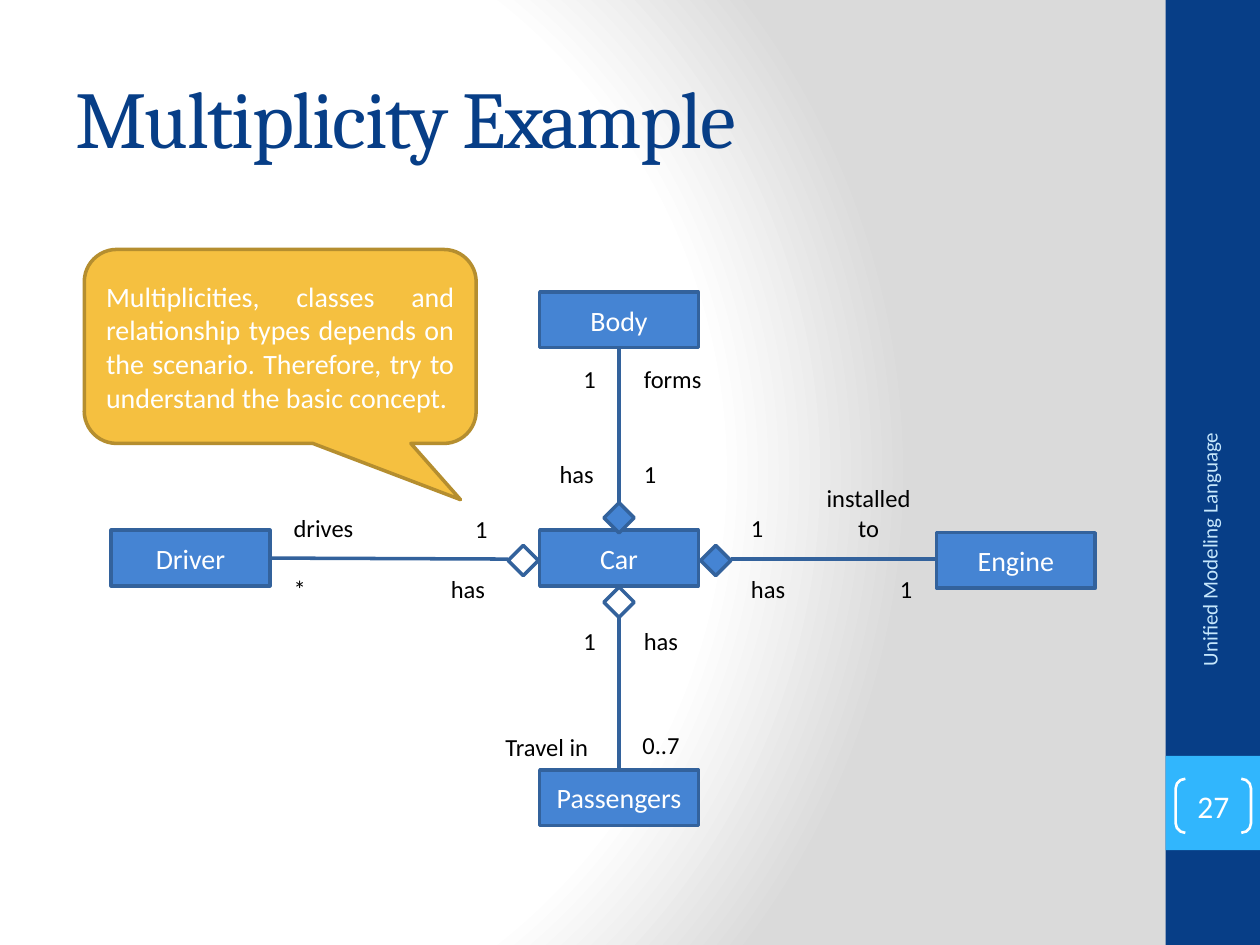
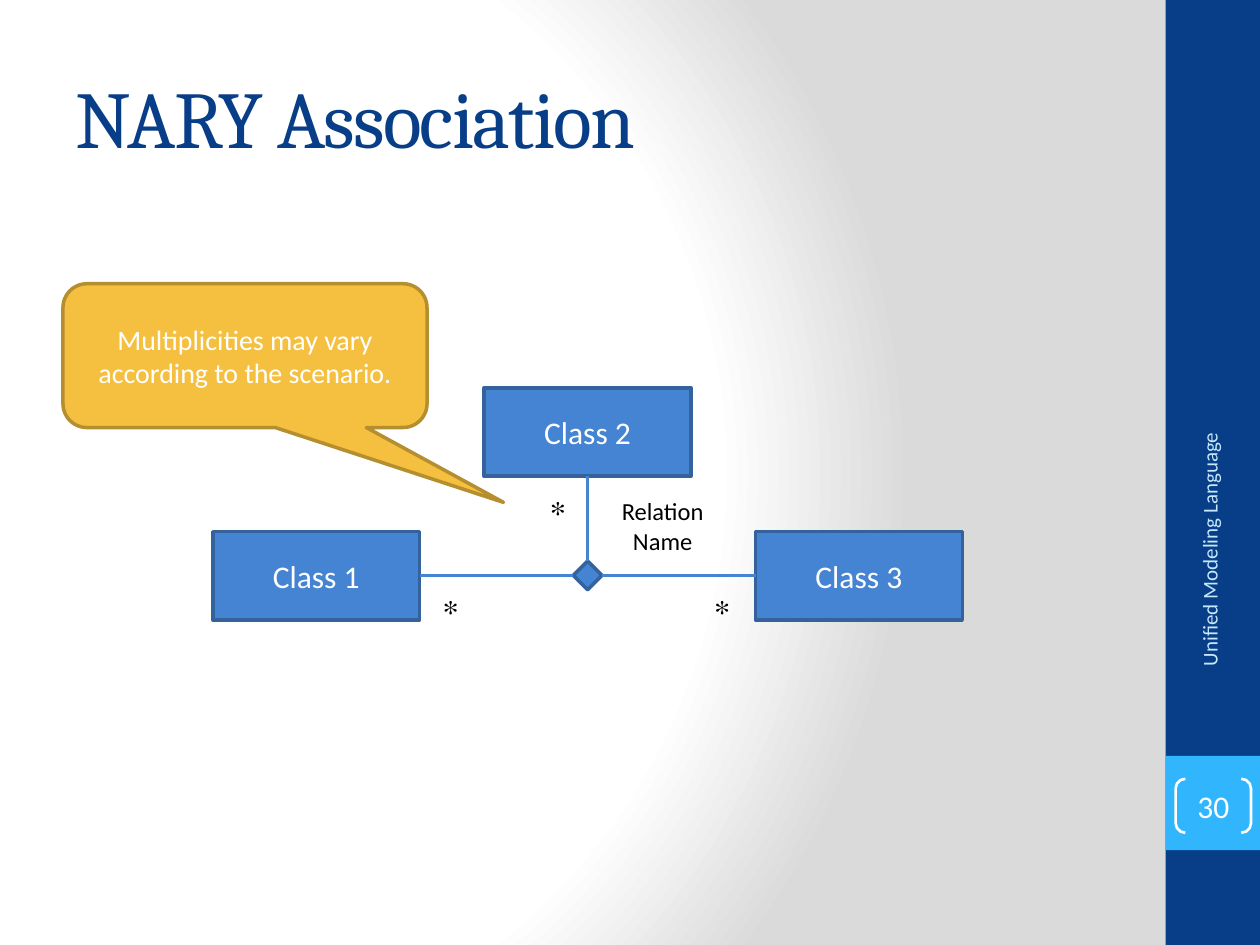
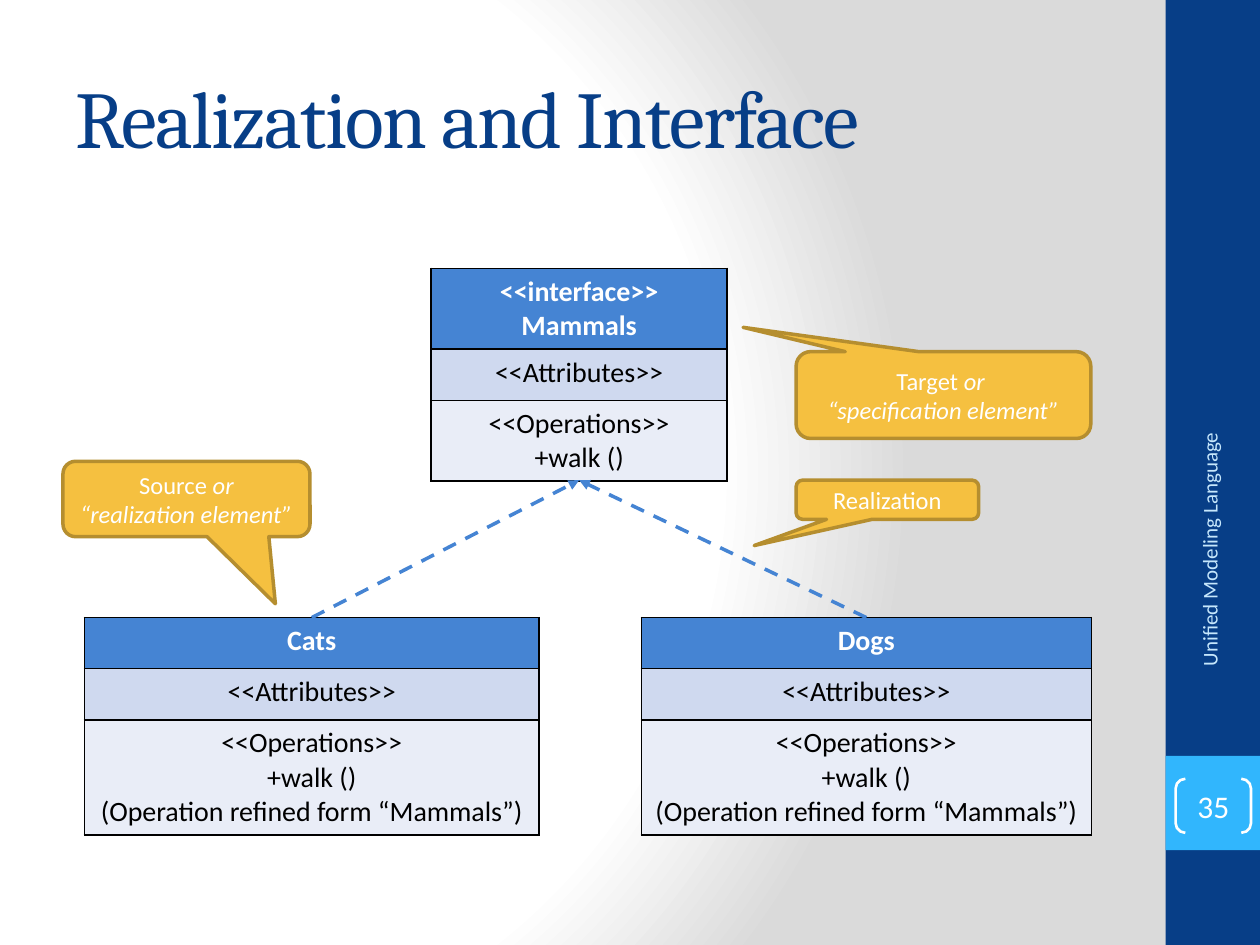
"""Build three UML lecture slides with class diagrams."""
from dataclasses import dataclass

from lxml import etree
from pptx import Presentation
from pptx.dml.color import RGBColor
from pptx.enum.dml import MSO_LINE
from pptx.enum.shapes import MSO_CONNECTOR, MSO_SHAPE
from pptx.enum.text import MSO_ANCHOR, PP_ALIGN
from pptx.oxml import parse_xml
from pptx.oxml.ns import nsdecls, qn
from pptx.util import Cm, Pt

RECT, DIAMOND = MSO_SHAPE.RECTANGLE, MSO_SHAPE.DIAMOND
BRACKETS, CALLOUT = MSO_SHAPE.DOUBLE_BRACKET, MSO_SHAPE.ROUNDED_RECTANGULAR_CALLOUT
STRAIGHT, DASH = MSO_CONNECTOR.STRAIGHT, MSO_LINE.DASH
LEFT, CENTER, RIGHT, JUSTIFY = PP_ALIGN.LEFT, PP_ALIGN.CENTER, PP_ALIGN.RIGHT, PP_ALIGN.JUSTIFY
TOP, MIDDLE = MSO_ANCHOR.TOP, MSO_ANCHOR.MIDDLE


@dataclass(frozen=True)
class Theme:
    """Colours, fonts, type sizes and line widths of the deck."""

    navy: str = "073E87"
    sky: str = "31B6FD"
    pale: str = "C6E7FC"
    blue: str = "4584D3"
    edge: str = "33629C"
    amber: str = "F5C040"
    amber_edge: str = "B58E2F"
    attributes: str = "CFD9EF"
    operations: str = "E9EDF7"
    white: str = "FFFFFF"
    grey: str = "DADADA"
    black: str = "000000"
    body: str = "Calibri"
    heading: str = "Cambria"
    symbol: str = "TeX Gyre Schola"
    title: int = 46
    large: int = 18
    normal: int = 16
    small: int = 14
    footer: int = 12
    stroke: float = 2
    thin: float = 1.5


T = Theme()


@dataclass(frozen=True)
class Box:
    """A rectangle in centimetres."""

    x: float
    y: float
    w: float
    h: float

    def at(self, dx, dy, w, h):
        """Return a box placed relative to this one."""
        return Box(self.x + dx, self.y + dy, w, h)

    def around(self, cx, cy, size):
        """Return a square centred on a relative point."""
        return self.at(cx - size / 2, cy - size / 2, size, size)

    def emu(self):
        """Return the four lengths for python-pptx."""
        return [Cm(v) for v in (self.x, self.y, self.w, self.h)]


def rgb(color):
    """Turn a hex string into a colour."""
    return RGBColor.from_string(color)


def write(tf, paragraphs, size, color, align=CENTER, anchor=MIDDLE, font=T.body, bold=False):
    """Fill a text frame; a tuple paragraph holds plain and italic text."""
    tf.vertical_anchor = anchor
    for i, parts in enumerate(paragraphs):
        p = tf.paragraphs[0] if i == 0 else tf.add_paragraph()
        p.alignment = align
        p.font.size, p.font.name, p.font.bold = Pt(size), font, bold
        p.font.color.rgb = rgb(color)
        for j, text in enumerate((parts,) if isinstance(parts, str) else parts):
            if text:
                r = p.add_run()
                r.text = text
                if j:
                    r.font.italic = True


def shape(slide, kind, box, fill=None, line=None, width=T.stroke):
    """Add a flat preset shape."""
    sp = slide.shapes.add_shape(kind, *box.emu())
    sp.shadow.inherit = False
    if fill:
        sp.fill.solid()
        sp.fill.fore_color.rgb = rgb(fill)
    else:
        sp.fill.background()
    if line:
        sp.line.color.rgb = rgb(line)
        sp.line.width = Pt(width)
    else:
        sp.line.fill.background()
    return sp


def textbox(slide, box, paragraphs, size, color, wrap=True, **style):
    """Add a text box."""
    sp = slide.shapes.add_textbox(*box.emu())
    sp.text_frame.word_wrap = wrap
    write(sp.text_frame, paragraphs, size, color, **style)
    return sp


def connector(slide, box, start, end, color):
    """Join two points given relative to a box."""
    ends = [Cm(v) for dx, dy in (start, end) for v in (box.x + dx, box.y + dy)]
    line = slide.shapes.add_connector(STRAIGHT, *ends)
    line.line.color.rgb = rgb(color)
    line.line.width = Pt(T.stroke)
    etree.SubElement(line._element.spPr, qn("a:effectLst"))
    return line


def realization(slide, box, start, end):
    """Draw a dashed arrow towards the interface."""
    line = connector(slide, box, start, end, T.blue)
    line.line.dash_style = DASH
    etree.SubElement(line.line._get_or_add_ln(), qn("a:tailEnd"), type="triangle")


def class_box(slide, box, name, size):
    """Draw a class as a named rectangle."""
    sp = shape(slide, RECT, box, T.blue, T.edge)
    write(sp.text_frame, [name], size, T.white)


def label(slide, box, text, dx, dy):
    """Write a role or multiplicity next to a line."""
    width = {1: 0.76, 3: 1.24, 4: 1.4, 5: 2.03, 6: 1.85}.get(len(text), 2.31)
    textbox(slide, box.at(dx, dy, width, 0.86), [text], T.small, T.black,
            wrap=False, align=LEFT, anchor=TOP)


def callout(slide, box, paragraphs, tip, size=T.normal, align=CENTER):
    """Draw an amber speech bubble whose tip is relative to its size."""
    sp = shape(slide, CALLOUT, box, T.amber, T.amber_edge)
    sp.adjustments[0], sp.adjustments[1] = tip
    write(sp.text_frame, paragraphs, size, T.white, align)


def class_table(slide, box, name, operations):
    """Draw a class as a table of name, attributes and operations."""
    rows = [(name, T.blue, T.white, True),
            (["<<Attributes>>"], T.attributes, T.black, False),
            (["<<Operations>>", *operations], T.operations, T.black, False)]
    table = slide.shapes.add_table(len(rows), 1, *box.emu()).table
    table.horz_banding = False
    for i, (lines, fill, color, bold) in enumerate(rows):
        table.rows[i].height = Cm(max(1.03, 0.25 + 0.69 * len(lines)))
        cell = table.cell(i, 0)
        tc_pr = cell._tc.get_or_add_tcPr()
        for side in "LRTB":
            tc_pr.append(parse_xml(
                f'<a:ln{side} {nsdecls("a")} w="12700"><a:solidFill>'
                f'<a:srgbClr val="{T.black}"/></a:solidFill></a:ln{side}>'))
        cell.fill.solid()
        cell.fill.fore_color.rgb = rgb(fill)
        write(cell.text_frame, lines, T.normal, color, anchor=TOP, bold=bold)


def background(slide):
    """Shade the slide from white to grey."""
    stops = "".join(f'<a:gs pos="{pos}"><a:srgbClr val="{color}"/></a:gs>' for pos, color in
                    ((0, T.white), (75000, T.white), (100000, T.grey)))
    slide.element.cSld.insert(0, parse_xml(
        f'<p:bg {nsdecls("p", "a")}><p:bgPr><a:gradFill rotWithShape="1">'
        f'<a:gsLst>{stops}</a:gsLst><a:path path="circle">'
        '<a:fillToRect l="20000" t="50000" r="100000" b="50000"/></a:path>'
        '</a:gradFill><a:effectLst/></p:bgPr></p:bg>'))


def side_band(slide, box, number):
    """Draw the right band with the course name and page number."""
    shape(slide, RECT, box, T.navy)
    shape(slide, RECT, box.at(0, 15.24, box.w, box.w), T.sky)
    sp = textbox(slide, box.at(-2.41, 11.25, 6.58, 1.02), ["Unified Modeling Language"],
                 T.footer, T.pale, align=RIGHT)
    sp.rotation = 270
    sp = shape(slide, BRACKETS, box.at(0.2, 15.7, 1.52, 1.09), line=T.white, width=T.thin)
    sp.adjustments[0] = 0.18
    tf = sp.text_frame
    tf.margin_left = tf.margin_right = tf.margin_top = tf.margin_bottom = 0
    write(tf, [number], T.large, T.white)


def new_slide(prs, title, number):
    """Add a slide with its background, band and title."""
    slide = prs.slides.add_slide(prs.slide_layouts[6])
    background(slide)
    side_band(slide, Box(23.5, 0, 1.9, 19.05), number)
    sp = textbox(slide, Box(1.27, 0.76, 21.16, 3.18), [title], T.title, T.navy,
                 align=LEFT, font=T.heading)
    sp.text_frame.paragraphs[0].runs[0]._r.get_or_add_rPr().set("spc", "-100")
    return slide


def car_diagram(slide, box):
    """Draw the car, its parts and its users."""
    w, h, size = 3.2, 1.12, 0.61
    cx, cy = 10.24, 5.38
    class_box(slide, box.at(cx - w / 2, 4.8, w, h), "Car", T.normal)
    spokes = [("Body", cx - w / 2, 0, (cx, 4.55), (cx, 4.24), (cx, h), T.blue),
              ("Passengers", cx - w / 2, 9.63, (cx, 6.25), (cx, 6.55), (cx, 9.63), None),
              ("Driver", 0, 4.8, (8.31, 5.41), (8, cy), (w, 5.36), None),
              ("Engine", 16.64, 4.85, (12.19, 5.41), (12.5, cy), (16.64, cy), T.blue)]
    for name, x, y, hub, start, end, fill in spokes:
        class_box(slide, box.at(x, y, w, h), name, T.normal)
        connector(slide, box, start, end, T.edge)
        shape(slide, DIAMOND, box.around(*hub, size), fill, T.edge)
    for text, x, y in [("1", 9.27, 1.32), ("forms", 10.49, 1.32),
                       ("has", 8.79, 3.23), ("1", 10.49, 3.23),
                       ("drives", 3.43, 4.32), ("1", 7.09, 4.34), ("1", 12.65, 4.32),
                       ("*", 3.43, 5.56), ("has", 6.6, 5.56),
                       ("has", 12.65, 5.56), ("1", 15.65, 5.56),
                       ("1", 9.27, 6.6), ("has", 10.49, 6.6),
                       ("Travel in", 7.7, 8.74), ("0..7", 10.46, 8.71)]:
        label(slide, box, text, x, y)
    textbox(slide, box.at(14.15, 3.73, 2.24, 1.45), ["installed to"], T.small, T.black, anchor=TOP)


def nary_diagram(slide, box):
    """Draw three classes joined at one diamond."""
    w, h, size = 4.17, 1.78, 0.58
    cx, cy = box.w / 2, 3.78
    for i, y in enumerate((2.9, 0, 2.9)):
        class_box(slide, box.at(i * (box.w - w) / 2, y, w, h), f"Class {i + 1}", T.large)
    shape(slide, DIAMOND, box.around(cx, cy, size), T.blue, T.edge)
    for start, end in [((cx, h), (cx, cy - size / 2)),
                       ((cx + size / 2, cy), (box.w - w, cy)),
                       ((cx - size / 2, cy), (w, cy))]:
        connector(slide, box, start, end, T.blue)
    for x, y in ((6.55, 2.01), (4.39, 4.01), (9.86, 4.01)):
        textbox(slide, box.at(x, y, 0.79, 1.02), ["*"], T.large, T.black,
                wrap=False, align=LEFT, anchor=TOP, font=T.symbol)
    textbox(slide, box.at(7.85, 2.06, 2.44, 1.45), ["Relation", "Name"],
            T.small, T.black, anchor=TOP)


def realization_diagram(slide, box):
    """Draw the interface and the two classes that realize it."""
    x, w, y = 6.99, 5.97, 7.04
    class_table(slide, box.at(x, 0, w, 4.24), ["<<interface>>", "Mammals"], ["+walk ()"])
    for name, left, width in (("Dogs", 11.23, 9.07), ("Cats", 0, 9.17)):
        class_table(slide, box.at(left, y, width, 4.34), [name],
                    ["+walk ()", "(Operation refined form “Mammals”)"])
        realization(slide, box, (left + width / 2, y), (x + w / 2, 4.27))


def main():
    """Build and save the deck."""
    prs = Presentation()
    prs.slide_width, prs.slide_height = Cm(25.4), Cm(19.05)

    slide = new_slide(prs, "Multiplicity Example", "27")
    callout(slide, Box(1.7, 5.03, 7.9, 3.91),
            ["Multiplicities, classes and relationship types depends on the scenario. "
             "Therefore, try to understand the basic concept."], (0.46, 0.79), align=JUSTIFY)
    car_diagram(slide, Box(2.24, 5.89, 19.84, 10.74))

    slide = new_slide(prs, "NARY Association", "30")
    callout(slide, Box(1.27, 5.72, 7.34, 2.9),
            ["Multiplicities may vary according to the scenario."], (0.71, 1.02))
    nary_diagram(slide, Box(4.29, 7.82, 15.11, 4.67))

    slide = new_slide(prs, "Realization and Interface", "35")
    realization_diagram(slide, Box(1.7, 5.41, 20.3, 11.38))
    for box, paragraphs, tip in [
            (Box(1.27, 9.3, 4.98, 1.52), [("Source ", "or “realization element”")], (0.36, 1.39)),
            (Box(16.05, 7.09, 5.94, 1.75),
             [("Target ", "or "), ("", "“specification element”")], (-0.68, -0.78)),
            (Box(16.05, 9.68, 3.68, 0.79), ["Realization"], (-0.73, 1.17))]:
        callout(slide, box, paragraphs, tip, T.small)

    prs.save("out.pptx")


if __name__ == "__main__":
    main()
